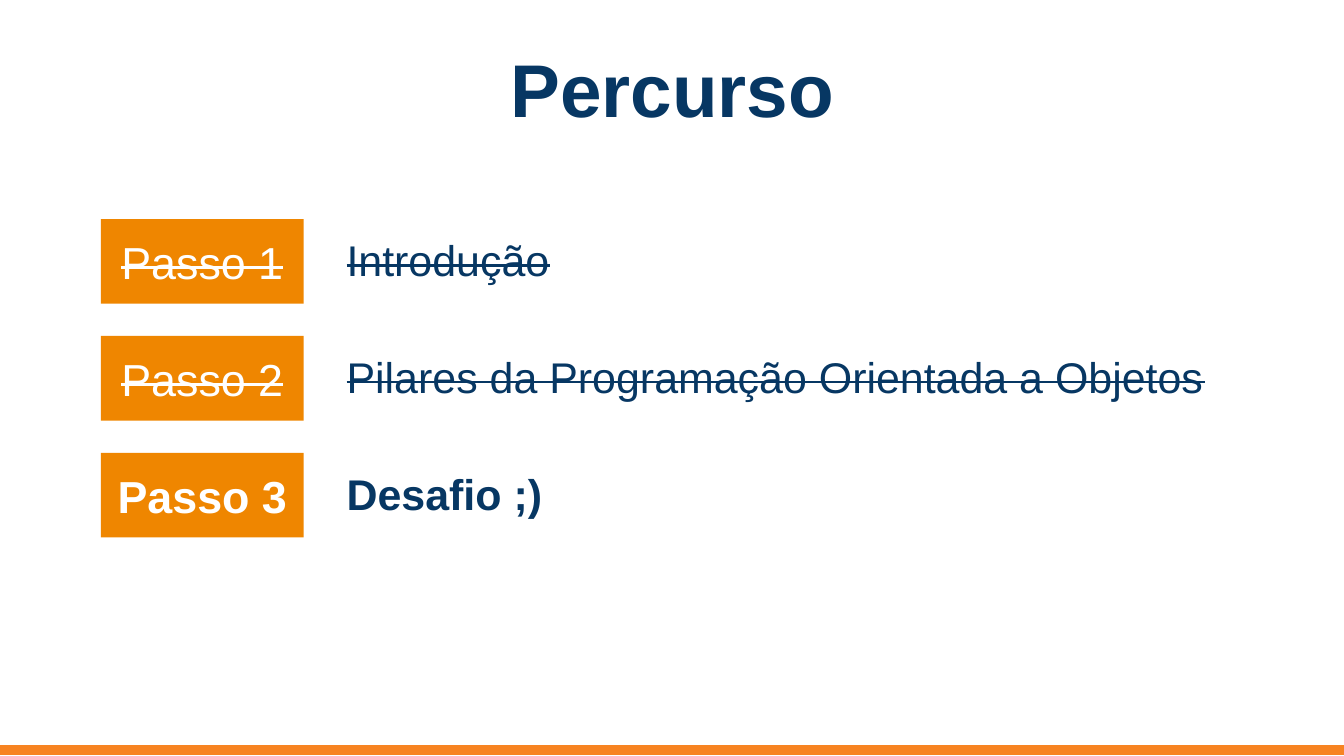
from dataclasses import dataclass

from pptx import Presentation
from pptx.dml.color import RGBColor
from pptx.enum.shapes import MSO_SHAPE
from pptx.enum.text import MSO_ANCHOR, PP_ALIGN
from pptx.util import Inches, Pt

NAVY, ORANGE, BAR_ORANGE, WHITE = "073763", "EF8600", "F78321", "FFFFFF"


@dataclass
class Step:
    label: str
    topic: str
    done: bool


STEPS = [
    Step("Passo 1", "Introdução", True),
    Step("Passo 2", "Pilares da Programação Orientada a Objetos", True),
    Step("Passo 3", "Desafio ;)", False),
]
FIRST_TOP, STEP_PITCH = 1.63, 0.87


def paint(target, color: str) -> None:
    if hasattr(target, "solid"):
        target.solid()
        target = target.fore_color
    target.rgb = RGBColor.from_string(color)


def add_block(left: float, top: float, width: float, height: float, color: str):
    block = slide.shapes.add_shape(
        MSO_SHAPE.RECTANGLE, Inches(left), Inches(top), Inches(width), Inches(height))
    block.shadow.inherit = False
    paint(block.fill, color)
    block.line.fill.background()
    return block


def add_text_box(left: float, top: float, width: float, height: float):
    return slide.shapes.add_textbox(
        Inches(left), Inches(top), Inches(width), Inches(height))


def write(shape, text: str, size: float, color: str, bold: bool = False,
          strike: bool = False, align=PP_ALIGN.CENTER,
          anchor=MSO_ANCHOR.MIDDLE, inset: float = 0.1) -> None:
    frame = shape.text_frame
    frame_format = {
        "word_wrap": True, "vertical_anchor": anchor,
        "margin_left": Inches(0.1), "margin_right": Inches(0.1),
        "margin_top": Inches(inset), "margin_bottom": Inches(inset),
    }
    for name, value in frame_format.items():
        setattr(frame, name, value)
    paragraph = frame.paragraphs[0]
    paragraph.alignment = align
    run = paragraph.add_run()
    run.text = text
    for name, value in {"name": "Arial", "size": Pt(size), "bold": bold}.items():
        setattr(run.font, name, value)
    paint(run.font.color, color)
    if strike:
        run._r.get_or_add_rPr().set("strike", "sngStrike")


def add_step(step: Step, top: float) -> None:
    emphasis = {"bold": not step.done, "strike": step.done}
    write(add_block(0.75, top, 1.51, 0.63, ORANGE), step.label, 24, WHITE, **emphasis)
    write(add_text_box(2.48, top + 0.06, 7.18, 0.5), step.topic, 23, NAVY,
          align=PP_ALIGN.LEFT, anchor=MSO_ANCHOR.TOP, inset=0.05, **emphasis)


presentation = Presentation()
presentation.slide_width = Inches(10)
presentation.slide_height = Inches(10 * 9 / 16)
slide = presentation.slides.add_slide(presentation.slide_layouts[6])
paint(slide.background.fill, WHITE)

write(add_text_box(0.34, 0.33, 9.32, 0.65), "Percurso", 40, NAVY, bold=True)
for index, step in enumerate(STEPS):
    add_step(step, FIRST_TOP + index * STEP_PITCH)

footer_bar = add_block(0, 5.55, 10, 0.06, BAR_ORANGE)
paint(footer_bar.line.fill, BAR_ORANGE)
footer_bar.line.width = Pt(0.75)

presentation.save("out.pptx")
